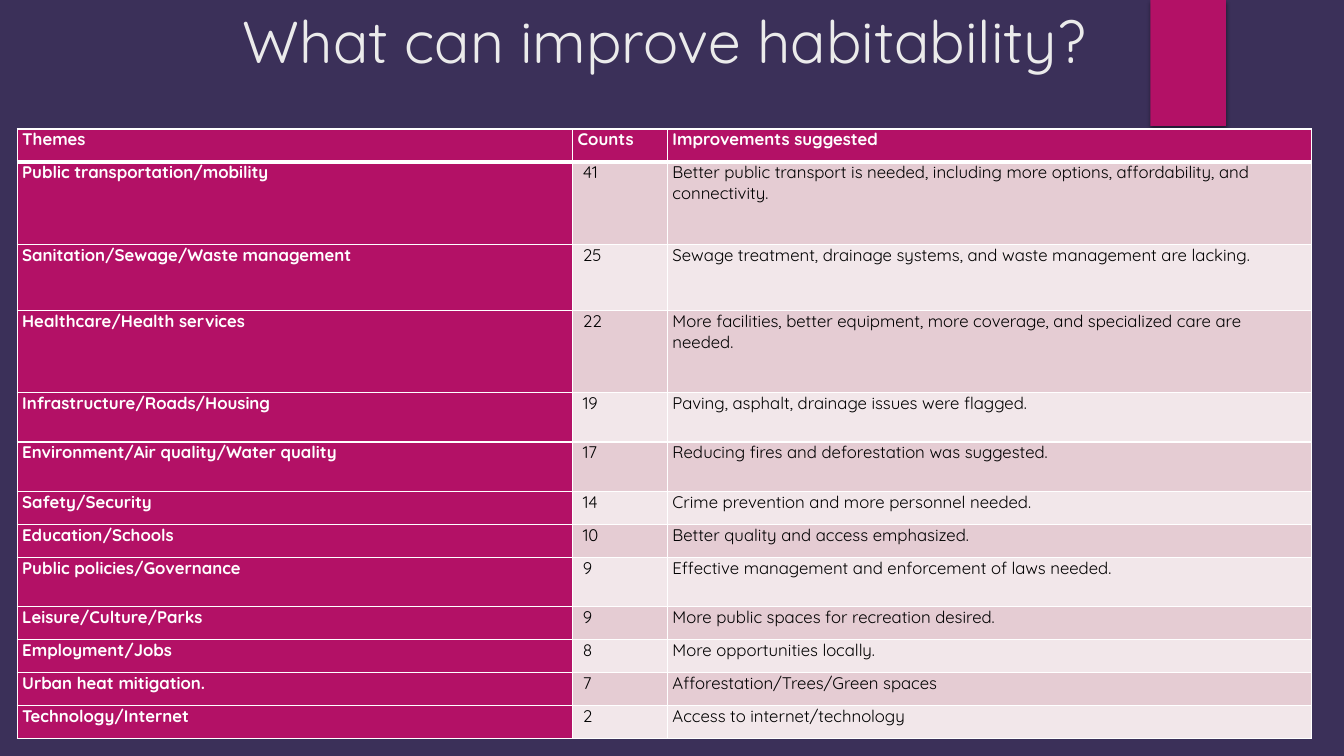
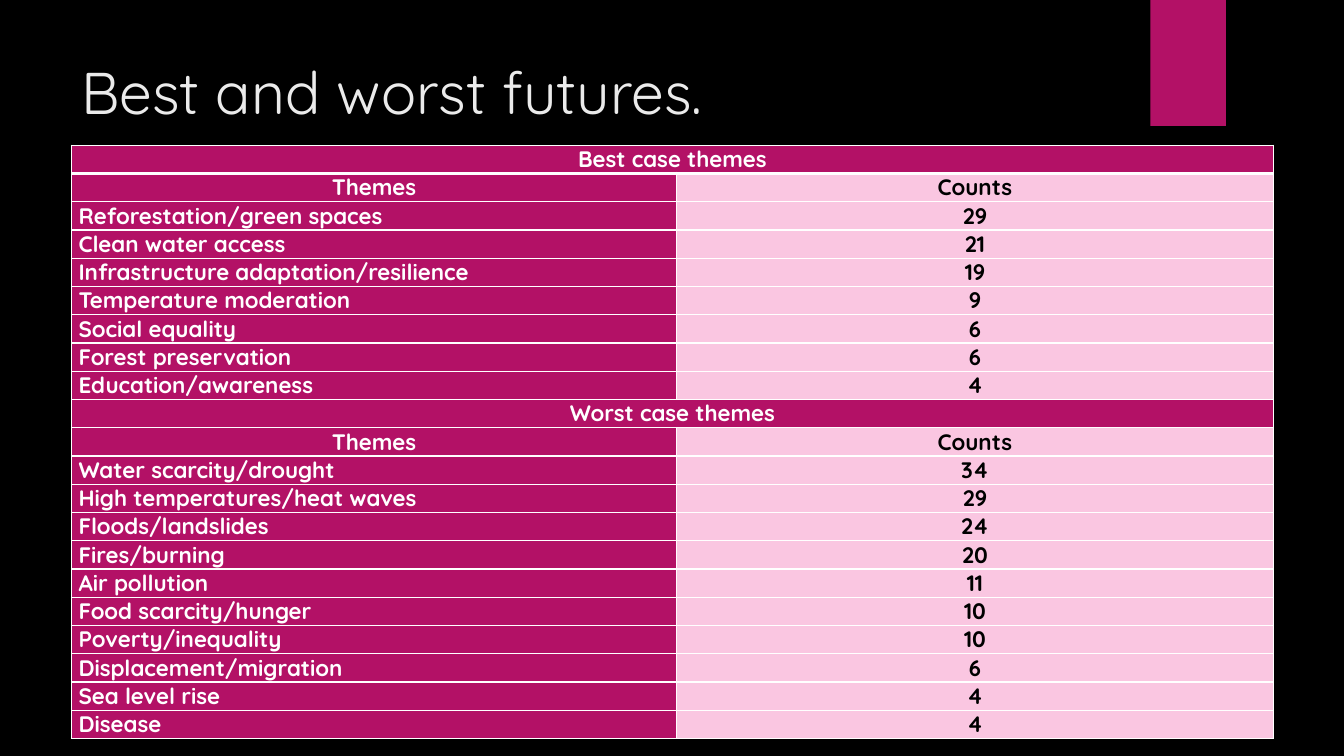
from lxml.etree import SubElement
from pptx import Presentation
from pptx.dml.color import RGBColor
from pptx.enum.shapes import MSO_SHAPE
from pptx.enum.text import MSO_ANCHOR, PP_ALIGN
from pptx.oxml import parse_xml
from pptx.oxml.ns import nsdecls, qn
from pptx.util import Emu, Inches, Pt

FONT = "Quicksand"
MAGENTA, VIOLET = "B31166", "9B6BF2"
WHITE, BLACK, TITLE_GREY = "FFFFFF", "000000", "EBEBEB"
BANDS = ("E5CCD3", "F2E7EA")
PINK = "FAC6E1"

IMPROVEMENTS_TITLE = "What can improve habitability?"
IMPROVEMENTS_HEADER = ("Themes", "Counts", "Improvements suggested")
# theme, count, suggestion, row height as a multiple of the header row
IMPROVEMENTS = [
    ("Public transportation/mobility", 41,
     "Better public transport is needed, including more options, affordability, and connectivity.", 2.5),
    ("Sanitation/Sewage/Waste management", 25,
     "Sewage treatment, drainage systems, and waste management are lacking.", 2),
    ("Healthcare/Health services", 22,
     "More facilities, better equipment, more coverage, and specialized care are needed.", 2.5),
    ("Infrastructure/Roads/Housing", 19, "Paving, asphalt, drainage issues were flagged.", 1.5),
    ("Environment/Air quality/Water quality", 17, "Reducing fires and deforestation was suggested.", 1.5),
    ("Safety/Security", 14, "Crime prevention and more personnel needed.", 1),
    ("Education/Schools", 10, "Better quality and access emphasized.", 1),
    ("Public policies/Governance", 9, "Effective management and enforcement of laws needed.", 1.5),
    ("Leisure/Culture/Parks", 9, "More public spaces for recreation desired.", 1),
    ("Employment/Jobs", 8, "More opportunities locally.", 1),
    ("Urban heat mitigation.", 7, "Afforestation/Trees/Green spaces", 1),
    ("Technology/Internet", 2, "Access to internet/technology", 1),
]

FUTURES_TITLE = "Best and worst futures."
FUTURES_HEADER = ("Themes", "Counts")
FUTURES = {
    "Best case themes": [
        ("Reforestation/green spaces", 29),
        ("Clean water access", 21),
        ("Infrastructure adaptation/resilience", 19),
        ("Temperature moderation", 9),
        ("Social equality", 6),
        ("Forest preservation", 6),
        ("Education/awareness", 4),
    ],
    "Worst case themes": [
        ("Water scarcity/drought", 34),
        ("High temperatures/heat waves", 29),
        ("Floods/landslides", 24),
        ("Fires/burning", 20),
        ("Air pollution", 11),
        ("Food scarcity/hunger", 10),
        ("Poverty/inequality", 10),
        ("Displacement/migration", 6),
        ("Sea level rise", 4),
        ("Disease", 4),
    ],
}


def rgb(value):
    return RGBColor.from_string(value)


def paint(fill, color):
    fill.solid()
    fill.fore_color.rgb = rgb(color)


def style_text(paragraph, size, color, bold=False, align=PP_ALIGN.LEFT):
    paragraph.alignment = align
    for run in paragraph.runs:
        run.font.name, run.font.size, run.font.bold = FONT, Pt(size), bold
        run.font.color.rgb = rgb(color)


def add_plain_shape(slide, kind, *box):
    shape = slide.shapes.add_shape(kind, *map(Inches, box))
    shape.shadow.inherit = False
    shape.line.fill.background()
    return shape


def add_glow(slide):
    """Faint violet disc that fades out towards its edge."""
    glow = add_plain_shape(slide, MSO_SHAPE.OVAL, 9.41, 1.83, 3.08, 3.08)
    stops = "".join(
        f'<a:gs pos="{position * 1000}"><a:srgbClr val="{VIOLET}">'
        f'<a:alpha val="{alpha * 1000}"/></a:srgbClr></a:gs>'
        for position, alpha in ((0, 7), (36, 6), (69, 0), (100, 0)))
    gradient = parse_xml(
        f'<a:gradFill {nsdecls("a")}><a:gsLst>{stops}</a:gsLst><a:path path="circle">'
        '<a:fillToRect l="50000" t="50000" r="50000" b="50000"/></a:path></a:gradFill>')
    glow.element.spPr.find(qn("a:prstGeom")).addnext(gradient)


def add_ribbon(slide):
    ribbon = add_plain_shape(slide, MSO_SHAPE.RECTANGLE, 11.41, 0, 0.75, 1.25)
    paint(ribbon.fill, MAGENTA)
    effects = ribbon.element.spPr.find(qn("a:effectLst"))
    effects.append(parse_xml(
        f'<a:outerShdw {nsdecls("a")} blurRad="{Pt(3)}" dist="{Pt(2)}" dir="5400000" rotWithShape="0">'
        f'<a:srgbClr val="{BLACK}"><a:alpha val="45000"/></a:srgbClr></a:outerShdw>'))


def add_themed_slide(deck, background, title, *title_box):
    slide = deck.slides.add_slide(deck.slide_layouts[6])
    paint(slide.background.fill, background)
    add_glow(slide)
    add_ribbon(slide)
    heading = slide.shapes.add_textbox(*map(Inches, title_box)).text_frame
    heading.word_wrap = True
    heading.vertical_anchor = MSO_ANCHOR.TOP
    heading.text = title
    style_text(heading.paragraphs[0], 42, TITLE_GREY)
    return slide


def set_borders(cell, top, bottom):
    """White rules: 1 pt at the sides, the given points above and below."""
    properties = cell._tc.get_or_add_tcPr()
    for side, points in (("L", 1), ("R", 1), ("T", top), ("B", bottom)):
        line = SubElement(properties, qn(f"a:ln{side}"), w=str(Pt(points)))
        SubElement(SubElement(line, qn("a:solidFill")), qn("a:srgbClr"), val=WHITE)


def add_grid(slide, box, col_shares, row_shares, rows, size, margin, look):
    """Table whose rows of one text span its width; look(row, col) gives fill, indent and text style."""
    left, top, width, height = map(Inches, box)
    table = slide.shapes.add_table(len(rows), len(col_shares), left, top, width, height).table
    table.first_row = table.horz_banding = False
    for tracks, shares, attribute, total in ((table.columns, col_shares, "width", width),
                                             (table.rows, row_shares, "height", height)):
        for track, share in zip(tracks, shares):
            setattr(track, attribute, Emu(round(total * share / sum(shares))))
    for r, texts in enumerate(rows):
        if len(texts) == 1:
            table.cell(r, 0).merge(table.cell(r, len(col_shares) - 1))
        for c in range(len(col_shares)):
            cell = table.cell(r, c)
            fill, indent, text_style = look(r, c)
            set_borders(cell, 3 if r == 1 else 1, 3 if r == 0 else 1)
            paint(cell.fill, fill)
            cell.margin_left, cell.margin_right = Inches(margin + indent), Inches(margin)
            cell.margin_top = cell.margin_bottom = 0
            if c < len(texts):
                cell.text_frame.text = str(texts[c])
                style_text(cell.text_frame.paragraphs[0], size, **text_style)


def add_improvements_slide(deck):
    slide = add_themed_slide(deck, "3B3059", IMPROVEMENTS_TITLE, 2.31, 0, 9.42, 1.41)
    rows = [IMPROVEMENTS_HEADER] + [entry[:3] for entry in IMPROVEMENTS]
    row_shares = [1] + [entry[3] for entry in IMPROVEMENTS]

    def look(r, c):
        if r == 0 or c == 0:
            return MAGENTA, 0, dict(color=WHITE, bold=True)
        return BANDS[(r - 1) % 2], 0.05 if c == 1 else 0, dict(color=BLACK)

    add_grid(slide, (0.17, 1.28, 12.84, 6.05), (5.51, 0.94, 6.39), row_shares, rows, 12, 0.05, look)


def add_futures_slide(deck):
    slide = add_themed_slide(deck, BLACK, FUTURES_TITLE, 0.71, 0.5, 10.29, 1.53)
    rows = []
    for scenario, themes in FUTURES.items():
        rows += [(scenario,), FUTURES_HEADER, *themes]

    def look(r, c):
        is_section = len(rows[r]) == 1
        is_theme = c == 0 and not is_section and rows[r] != FUTURES_HEADER
        on_magenta = is_section or c == 0
        return MAGENTA if on_magenta else PINK, 0, dict(
            color=WHITE if on_magenta else BLACK, bold=True,
            align=PP_ALIGN.LEFT if is_theme else PP_ALIGN.CENTER)

    add_grid(slide, (0.71, 1.44, 11.92, 5.89), (6, 5.92), [1] * len(rows), rows, 16, 0.07, look)


def main():
    deck = Presentation()
    deck.slide_width, deck.slide_height = Inches(13.33), Inches(7.5)
    add_improvements_slide(deck)
    add_futures_slide(deck)
    deck.save("out.pptx")


if __name__ == "__main__":
    main()
